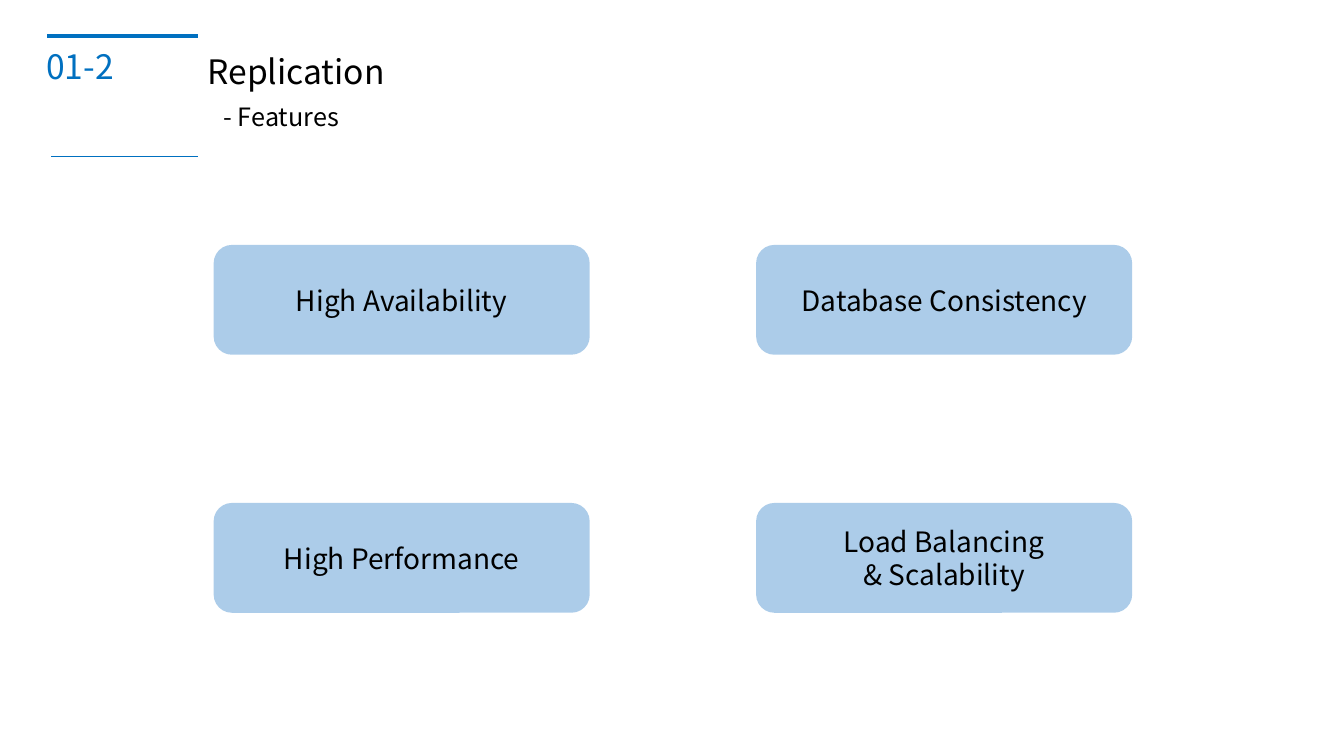
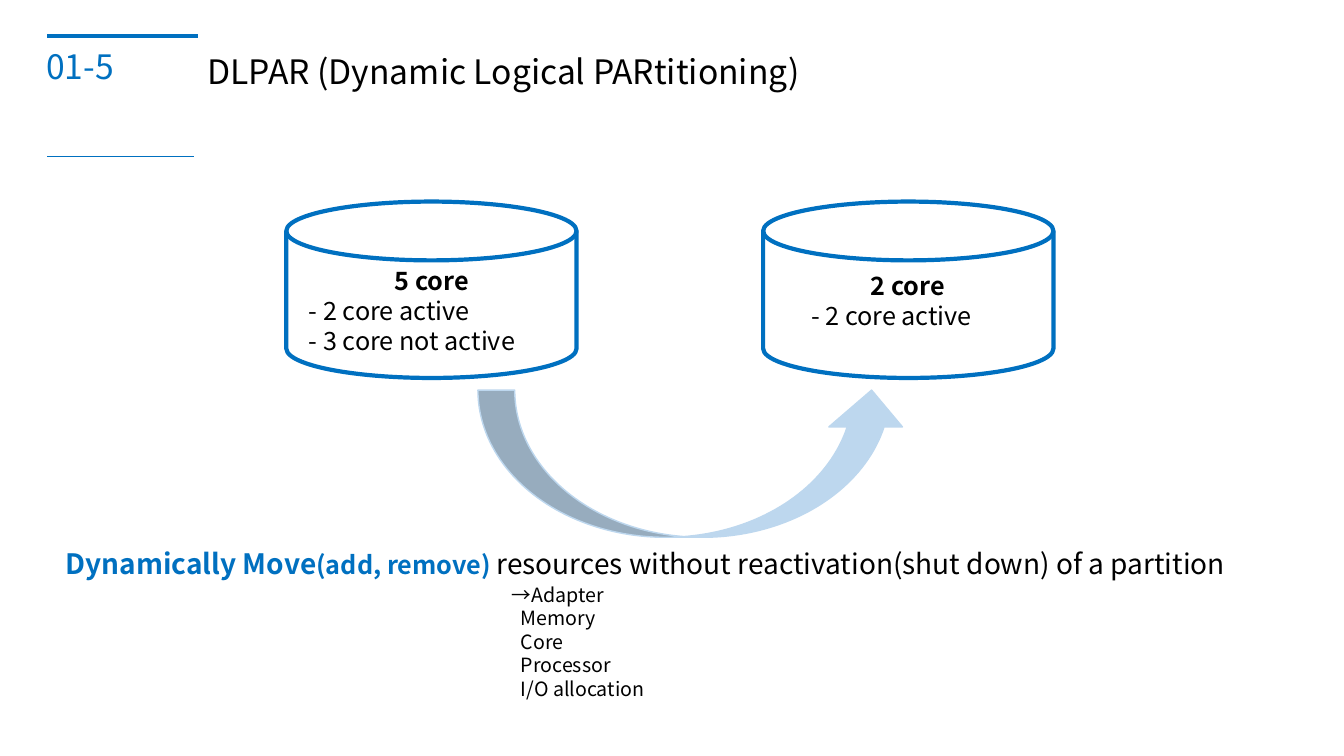
from pptx import Presentation
from pptx import util as u
from pptx.dml.color import RGBColor
from pptx.enum import shapes, text
from pptx.oxml import parse_xml
from pptx.oxml.ns import nsdecls

# Shared style
FONT = "Noto Sans CJK KR"
BLUE = RGBColor(0x00, 0x70, 0xC0)
CARD_BLUE = RGBColor(0x5B, 0x9B, 0xD5)
PALE_BLUE = RGBColor(0xBD, 0xD7, 0xEE)
BLACK = RGBColor(0x00, 0x00, 0x00)
WHITE = RGBColor(0xFF, 0xFF, 0xFF)

SLIDE_WIDTH, SLIDE_HEIGHT = u.Inches(13.33), u.Inches(7.5)
TITLE_LEFT = 14.7
INDENT_LEFT = 15.9


# Positions and sizes are percentages of the slide's width and height
def across(share):
    return u.Emu(round(SLIDE_WIDTH * share / 100))


def down(share):
    return u.Emu(round(SLIDE_HEIGHT * share / 100))


def frame(left, top, width, height):
    return across(left), down(top), across(width), down(height)


def style(span, size, color=BLACK, bold=False):
    span.font.name = FONT
    span.font.size = u.Pt(size)
    span.font.color.rgb = color
    span.font.bold = bold


def write(box, lines, size, color=BLACK):
    """Fill a box with one paragraph per line."""
    box.text_frame.word_wrap = True
    box.text_frame.text = "\n".join(lines)
    for para in box.text_frame.paragraphs:
        for span in para.runs:
            style(span, size, color)
    return box.text_frame.paragraphs


def indent(paras, points):
    for para in paras:
        para._p.get_or_add_pPr().set("marL", str(u.Pt(points)))


def add_text(page, area, lines, size, color=BLACK):
    return write(page.shapes.add_textbox(*frame(*area)), lines, size, color)


def add_rule(page, left, top, length, weight):
    rule = page.shapes.add_connector(
        shapes.MSO_CONNECTOR.STRAIGHT,
        across(left + length), down(top), across(left), down(top))
    rule.line.color.rgb = BLUE
    rule.line.width = u.Pt(weight)
    rule._element.spPr.append(parse_xml(f"<a:effectLst {nsdecls('a')}/>"))


def add_figure(page, kind, area, fill, line=None, weight=1):
    figure = page.shapes.add_shape(kind, *frame(*area))
    figure.shadow.inherit = False
    figure.fill.solid()
    figure.fill.fore_color.rgb = fill
    if line is None:
        figure.line.fill.background()
    else:
        figure.line.color.rgb = line
        figure.line.width = u.Pt(weight)
    return figure


def add_page(deck, number, title, rule_left):
    """Add a blank page with the numbered heading."""
    page = deck.slides.add_slide(deck.slide_layouts[6])
    add_text(page, (2.7, 5.47, 9, 6.67), [number], 24, BLUE)
    add_rule(page, 3.53, 4.8, 11.17, 3)
    add_rule(page, rule_left, 20.67, 10.88, 1)
    add_text(page, (TITLE_LEFT, 6.13, 51.2, 6.67), [title], 24)
    return page


def add_card(page, column, row, lines):
    area = (INDENT_LEFT + 40.36 * column, 32.4 + 34.13 * row, 27.98, 14.53)
    card = add_figure(page, shapes.MSO_SHAPE.ROUNDED_RECTANGLE, area, CARD_BLUE)
    color = card._element.spPr.find(".//{*}solidFill/{*}srgbClr")
    color.append(parse_xml(f'<a:alpha {nsdecls("a")} val="50000"/>'))
    card.text_frame.vertical_anchor = text.MSO_ANCHOR.MIDDLE
    for para in write(card, lines, 20):
        para.alignment = text.PP_ALIGN.CENTER


def add_disk(page, column):
    area = (21.3 + 35.48 * column, 26.67, 21.6, 23.33)
    add_figure(page, shapes.MSO_SHAPE.FLOWCHART_MAGNETIC_DISK, area,
               WHITE, BLUE, 3)


def add_disk_label(page, area, lines):
    heading, *details = add_text(page, area, lines, 18)
    heading.alignment = text.PP_ALIGN.CENTER
    heading.runs[0].font.bold = True
    indent(details, 4)


def build_features(deck):
    page = add_page(deck, "01-2", "Replication", 3.83)
    add_text(page, (INDENT_LEFT, 12.8, 11.6, 5.33), ["- Features"], 18)
    cards = [["High Availability"], ["Database Consistency"],
             ["High Performance"], ["Load Balancing", "& Scalability"]]
    for index, lines in enumerate(cards):
        row, column = divmod(index, 2)
        add_card(page, column, row, lines)


def build_partitioning(deck):
    page = add_page(deck, "01-5", "DLPAR (Dynamic Logical PARtitioning)", 3.53)

    # Two partitions and the move between them
    for column in range(2):
        add_disk(page, column)
    add_figure(page, shapes.MSO_SHAPE.CURVED_UP_ARROW,
               (35.56, 51.6, 32.03, 19.47), PALE_BLUE, PALE_BLUE)
    add_disk_label(page, (21.83, 34.4, 20.56, 13.47),
                   ["5 core", "- 2 core active", "- 3 core not active"])
    add_disk_label(page, (59.19, 35.07, 16.73, 9.47),
                   ["2 core", "- 2 core active"])

    # Summary sentence
    summary = page.shapes.add_textbox(*frame(4.13, 71.6, 91.82, 5.87))
    summary.text_frame.word_wrap = True
    para = summary.text_frame.paragraphs[0]
    for words, size, color, bold in (
            ("Dynamically Move", 20, BLUE, True),
            ("(add, remove) ", 18, BLUE, True),
            ("resources without reactivation(shut down) of a partition",
             20, BLACK, False)):
        span = para.add_run()
        span.text = words
        style(span, size, color, bold)

    # Resources that can be moved
    resources = add_text(
        page, (37.36, 76.4, 12.6, 17.07),
        ["→Adapter", "Memory", "Core", "Processor", "I/O allocation"], 14)
    indent(resources[1:], 6.3)


def main():
    deck = Presentation()
    deck.slide_width, deck.slide_height = SLIDE_WIDTH, SLIDE_HEIGHT
    build_features(deck)
    build_partitioning(deck)
    deck.save("out.pptx")


if __name__ == "__main__":
    main()
